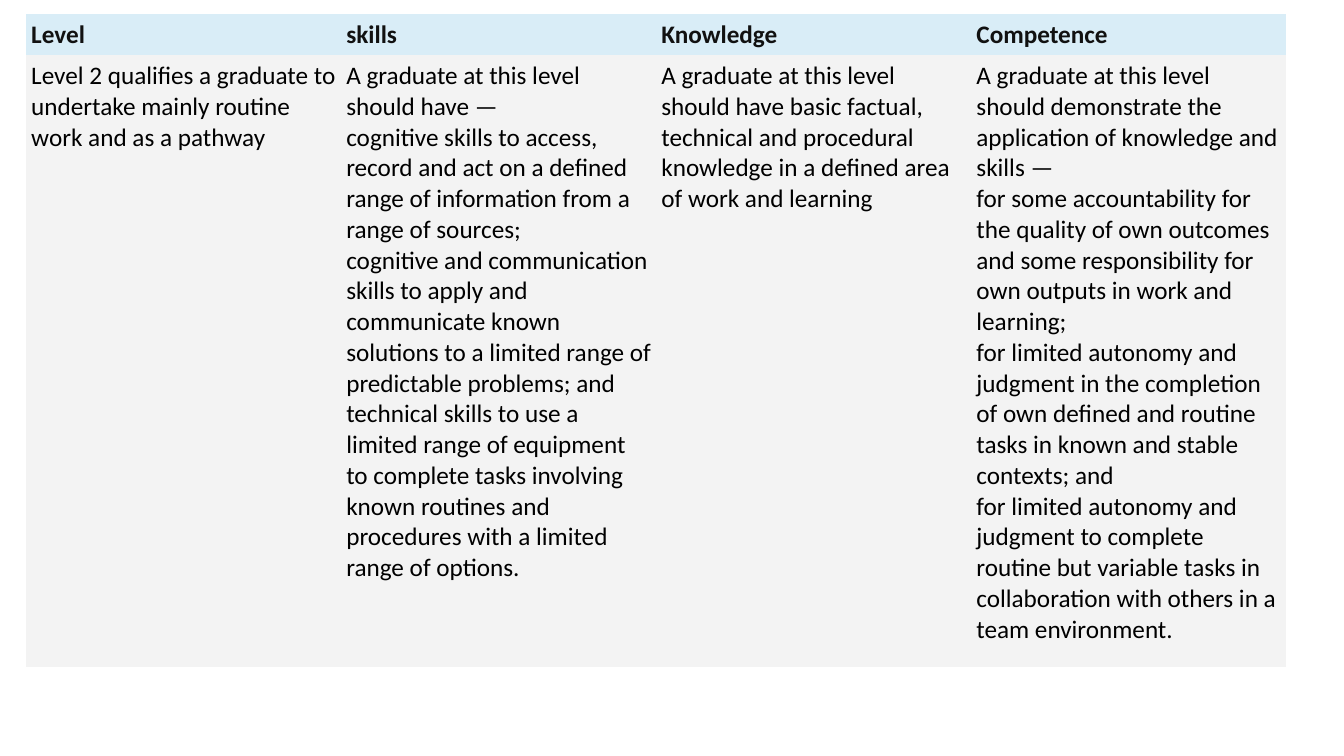
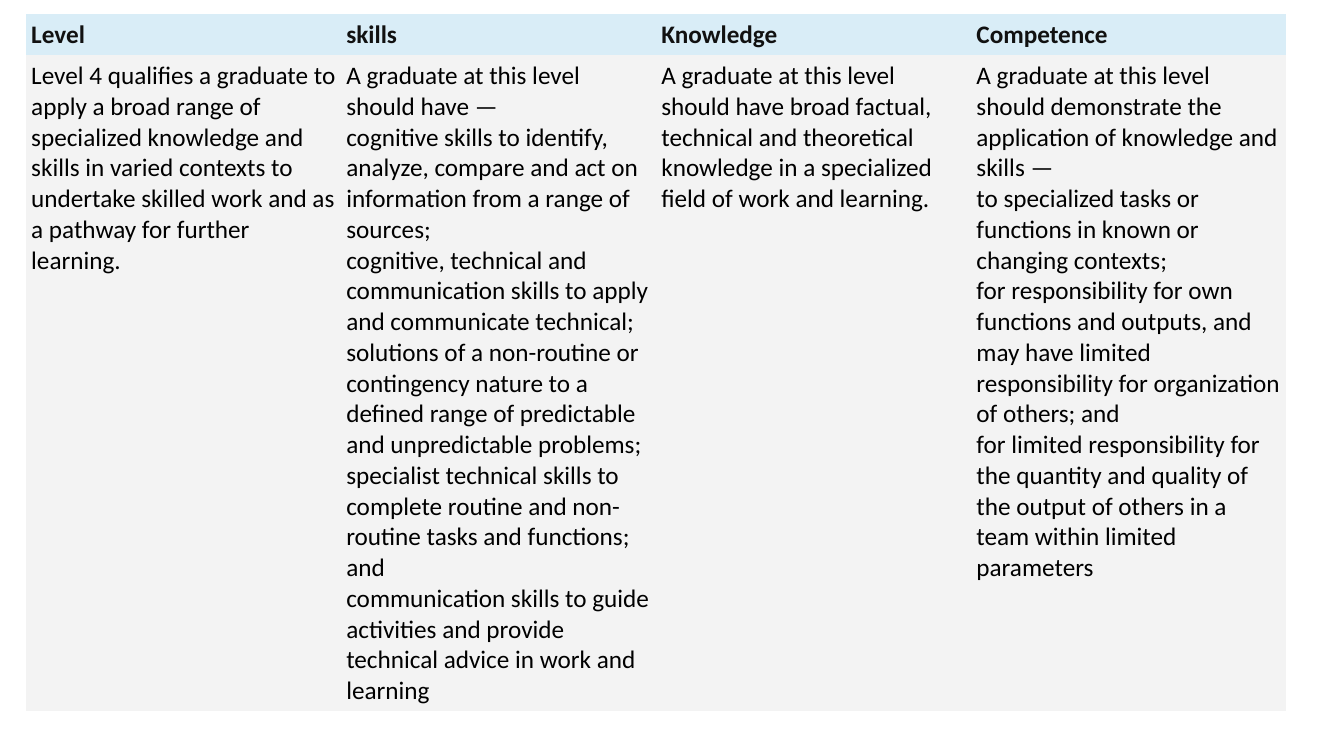
from pptx import Presentation
from pptx.dml.color import RGBColor
from pptx.util import Inches, Pt

FONT = "Calibri"
SIZE = 18
INK = "000000"
HEAD_INK = "111111"
HEAD_FILL = "D9EDF7"
BODY_FILL = "F3F3F3"
PLAIN_STYLE = "{2D5ABB26-0587-4C30-8999-92F81FD0307C}"
BOX = (0.26, 0.14, 12.5, 6.48)
HEAD_TALL = 0.41
PAD = 0.05

HEADS = ["Level", "skills", "Knowledge", "Competence"]
SKILL_LEAD = "A graduate at this level should have —"
TASK_LEAD = ("A graduate at this level should demonstrate the application of "
             "knowledge and skills —")

# Each level has one list of paragraphs for each column.
LEVELS = [
    [
        ["Level 2 qualifies a graduate to undertake mainly routine work "
         "and as a pathway"],
        [SKILL_LEAD,
         "cognitive skills to access, record and act on a defined range of "
         "information from a range of sources;",
         "cognitive and communication skills to apply and communicate known "
         "solutions to a limited range of predictable problems; and",
         "technical skills to use a limited range of equipment to complete "
         "tasks involving known routines and procedures with a limited range "
         "of options."],
        ["A graduate at this level should have basic factual, technical and "
         "procedural knowledge in a defined area of work and learning"],
        [TASK_LEAD,
         "for some accountability for the quality of own outcomes and some "
         "responsibility for own outputs in work and learning;",
         "for limited autonomy and judgment in the completion of own defined "
         "and routine tasks in known and stable contexts; and",
         "for limited autonomy and judgment to complete routine but variable "
         "tasks in collaboration with others in a team environment."],
    ],
    [
        ["Level 4 qualifies a graduate to apply a broad range of specialized "
         "knowledge and skills in varied contexts to undertake skilled work "
         "and as a pathway for further learning."],
        [SKILL_LEAD,
         "cognitive skills to identify, analyze, compare and act on "
         "information from a range of sources;",
         "cognitive, technical and communication skills to apply and "
         "communicate technical;",
         "solutions of a non-routine or contingency nature to a defined range "
         "of predictable and unpredictable problems;",
         "specialist technical skills to complete routine and non-routine "
         "tasks and functions; and",
         "communication skills to guide activities and provide technical "
         "advice in work and learning"],
        ["A graduate at this level should have broad factual, technical and "
         "theoretical knowledge in a specialized field of work and learning."],
        [TASK_LEAD,
         "to specialized tasks or functions in known or changing contexts;",
         "for responsibility for own functions and outputs, and may have "
         "limited responsibility for organization of others; and",
         "for limited responsibility for the quantity and quality of the "
         "output of others in a team within limited parameters"],
    ],
]


def color(code):
    return RGBColor.from_string(code)


def fill_cell(cell, lines, fill, ink, bold):
    cell.fill.solid()
    cell.fill.fore_color.rgb = color(fill)
    cell.margin_left = cell.margin_right = Inches(PAD)
    cell.margin_top = cell.margin_bottom = Inches(PAD)
    frame = cell.text_frame
    for i, line in enumerate(lines):
        para = frame.add_paragraph() if i else frame.paragraphs[0]
        run = para.add_run()
        run.text = line
        font = run.font
        font.name, font.size, font.bold = FONT, Pt(SIZE), bold
        font.color.rgb = color(ink)


def add_grid(slide, box, heads, body):
    """Place a heading row and one body row in the box, in equal columns."""
    left, top, width, height = box
    frame = slide.shapes.add_table(2, len(heads), *map(Inches, box))
    for style in frame.element.iter("{*}tableStyleId"):
        style.text = PLAIN_STYLE
    table = frame.table
    table.horz_banding = False
    table.rows[0].height = Inches(HEAD_TALL)
    table.rows[1].height = Inches(height - HEAD_TALL)
    for i, (head, lines) in enumerate(zip(heads, body)):
        table.columns[i].width = Inches(width / len(heads))
        fill_cell(table.cell(0, i), [head], HEAD_FILL, HEAD_INK, True)
        fill_cell(table.cell(1, i), lines, BODY_FILL, INK, False)


def main():
    deck = Presentation()
    deck.slide_width, deck.slide_height = Inches(13.33), Inches(7.5)
    for body in LEVELS:
        slide = deck.slides.add_slide(deck.slide_layouts[6])
        add_grid(slide, BOX, HEADS, body)
    deck.save("out.pptx")


if __name__ == "__main__":
    main()
